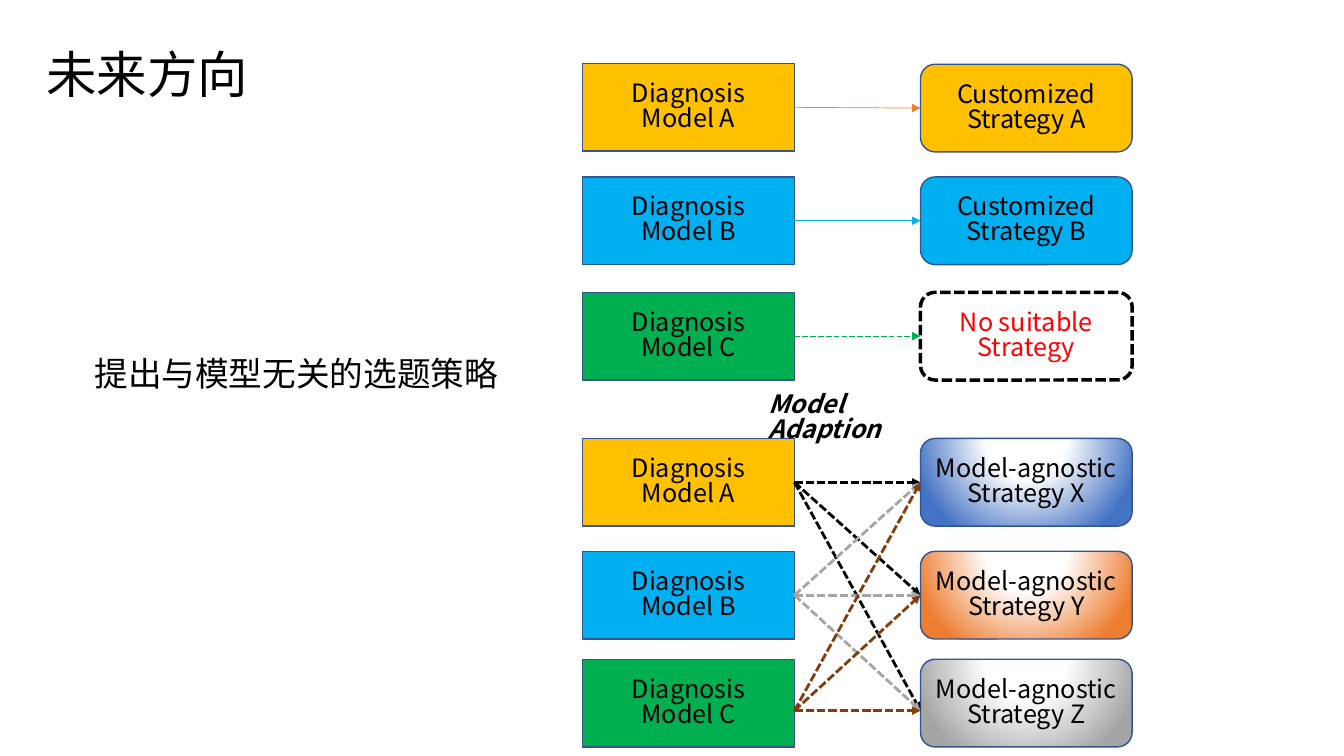
from dataclasses import dataclass

from lxml import etree
from pptx import Presentation
from pptx.dml.color import RGBColor
from pptx.enum.dml import MSO_LINE
from pptx.enum.shapes import MSO_CONNECTOR, MSO_SHAPE
from pptx.enum.text import MSO_ANCHOR, PP_ALIGN
from pptx.oxml import parse_xml
from pptx.oxml.ns import qn
from pptx.util import Inches, Pt

RECTANGLE = MSO_SHAPE.RECTANGLE
ROUNDED = MSO_SHAPE.ROUNDED_RECTANGLE
STRAIGHT = MSO_CONNECTOR.STRAIGHT
SHORT_DASH = MSO_LINE.SQUARE_DOT
LONG_DASH = MSO_LINE.LONG_DASH
LEFT, CENTER = PP_ALIGN.LEFT, PP_ALIGN.CENTER
TOP, MIDDLE = MSO_ANCHOR.TOP, MSO_ANCHOR.MIDDLE
LEFT_SIDE, RIGHT_SIDE = 1, 3

FONT = "Noto Sans CJK SC"
BLACK, RED, OUTLINE = "000000", "FF0000", "325491"
AMBER, SKY, GREEN = "FFC000", "00B0F0", "00B050"
BLUE, ORANGE, GRAY, BROWN = "4472C4", "ED7D31", "A5A5A5", "843C0B"
WIDTH, HEIGHT = Inches(13.33), Inches(7.5)
MODEL_LEFT, STRATEGY_LEFT = 43.36, 68.49
BOX_WIDTH, BOX_HEIGHT = 15.75, 11.6
LINE_SPACING = 0.83
DRAWING = "http://schemas.openxmlformats.org/drawingml/2006/main"


@dataclass(frozen=True)
class Box:
    text: str
    left: float
    top: float
    fill: str = ""
    glow: str = ""
    color: str = BLACK
    dashed: bool = False


@dataclass(frozen=True)
class Arrow:
    color: str
    weight: float
    dash: int | None = None


@dataclass(frozen=True)
class Label:
    text: str
    left: float
    top: float
    width: float
    height: float
    size: int
    emphasis: bool = False


@dataclass(frozen=True)
class Row:
    letter: str
    fill: str
    top: float
    strategy: Box
    arrow: Arrow
    drop: float = 0


def customized(letter, top, fill):
    return Box(f"Customized\nStrategy {letter}", STRATEGY_LEFT, top, fill)


def agnostic(letter, top, glow):
    return Box(f"Model-agnostic\nStrategy {letter}", STRATEGY_LEFT, top, glow=glow)


UPPER_ROWS = [
    Row("A", AMBER, 8.4, customized("A", 8.5, AMBER), Arrow(ORANGE, 0.5)),
    Row("B", SKY, 23.4, customized("B", 23.4, SKY), Arrow(SKY, 0.5)),
    Row("C", GREEN, 38.67,
        Box("No suitable Strategy", STRATEGY_LEFT, 38.67, color=RED, dashed=True),
        Arrow(GREEN, 0.5, LONG_DASH)),
]
LOWER_ROWS = [
    Row("A", AMBER, 58, agnostic("X", 58, BLUE), Arrow(BLACK, 2, SHORT_DASH)),
    Row("B", SKY, 72.93, agnostic("Y", 72.93, ORANGE), Arrow(GRAY, 2, SHORT_DASH)),
    Row("C", GREEN, 87.2, agnostic("Z", 87.2, GRAY),
        Arrow(BROWN, 2, SHORT_DASH), drop=1),
]
TITLE = Label("未来方向", 2.7, 4.93, 79.9, 9.47, 36)
LABELS = [
    Label("Model Adaption", 56.41, 51.33, 15.53, 5.33, 18, True),
    Label("提出与模型无关的选题策略", 6.3, 46.93, 32.33, 12.13, 24),
]


def across(percent: float) -> int:
    return round(WIDTH * percent / 100)


def down(percent: float) -> int:
    return round(HEIGHT * percent / 100)


def rgb(color: str) -> RGBColor:
    return RGBColor.from_string(color)


def write(shape, text, size, color=BLACK, align=LEFT, anchor=TOP,
          spacing=LINE_SPACING, emphasis=False) -> None:
    frame = shape.text_frame
    frame.text = text
    frame.word_wrap = True
    frame.vertical_anchor = anchor
    for paragraph in frame.paragraphs:
        paragraph.alignment = align
        paragraph.line_spacing = spacing
        font = paragraph.font
        font.name, font.size = FONT, Pt(size)
        font.bold = font.italic = emphasis
        font.color.rgb = rgb(color)
        properties = paragraph._p.find(".//" + qn("a:defRPr"))
        etree.SubElement(properties, qn("a:ea")).set("typeface", FONT)


def fill_glow(shape, color: str) -> None:
    stops = "".join(
        f'<a:gs pos="{position}"><a:srgbClr val="{shade}"/></a:gs>'
        for position, shade in ((0, "FFFFFF"), (35000, "FFFFFF"), (100000, color))
    )
    shape._element.spPr.append(parse_xml(
        f'<a:gradFill xmlns:a="{DRAWING}" rotWithShape="1"><a:gsLst>{stops}</a:gsLst>'
        '<a:path path="circle"><a:fillToRect l="50000" t="-80000" r="50000" b="180000"/>'
        '</a:path></a:gradFill>'
    ))


def draw_box(slide, box: Box, preset):
    shape = slide.shapes.add_shape(
        preset, across(box.left), down(box.top), across(BOX_WIDTH), down(BOX_HEIGHT))
    if box.glow:
        fill_glow(shape, box.glow)
    elif box.fill:
        shape.fill.solid()
        shape.fill.fore_color.rgb = rgb(box.fill)
    else:
        shape.fill.background()
    shape.line.color.rgb = rgb(BLACK if box.dashed else OUTLINE)
    shape.line.width = Pt(2.5 if box.dashed else 1)
    if box.dashed:
        shape.line.dash_style = SHORT_DASH
    shape.shadow.inherit = False
    write(shape, box.text, 18, box.color, CENTER, MIDDLE)
    shape.text_frame.margin_left = shape.text_frame.margin_right = Inches(0.05)
    return shape


def draw_arrow(slide, model, strategy, arrow: Arrow, start_drop=0, end_drop=0) -> None:
    connector = slide.shapes.add_connector(
        STRAIGHT, model.left + model.width,
        model.top + model.height // 2 + down(start_drop),
        strategy.left, strategy.top + strategy.height // 2 + down(end_drop))
    if not start_drop:
        connector.begin_connect(model, RIGHT_SIDE)
    if not end_drop:
        connector.end_connect(strategy, LEFT_SIDE)
    connector.line.color.rgb = rgb(arrow.color)
    connector.line.width = Pt(arrow.weight)
    if arrow.dash:
        connector.line.dash_style = arrow.dash
    properties = connector._element.spPr
    etree.SubElement(properties.find(qn("a:ln")), qn("a:tailEnd")).set("type", "triangle")
    etree.SubElement(properties, qn("a:effectLst"))


def draw_rows(slide, rows: list[Row]) -> list:
    return [
        (row,
         draw_box(slide, Box(f"Diagnosis\nModel {row.letter}", MODEL_LEFT, row.top, row.fill),
                  RECTANGLE),
         draw_box(slide, row.strategy, ROUNDED))
        for row in rows
    ]


def main() -> None:
    presentation = Presentation()
    presentation.slide_width, presentation.slide_height = WIDTH, HEIGHT
    slide = presentation.slides.add_slide(presentation.slide_layouts[5])
    title = slide.shapes.title
    title.left, title.top = across(TITLE.left), down(TITLE.top)
    title.width, title.height = across(TITLE.width), down(TITLE.height)
    write(title, TITLE.text, TITLE.size, anchor=MIDDLE, spacing=1.0)
    for row, model, strategy in draw_rows(slide, UPPER_ROWS):
        draw_arrow(slide, model, strategy, row.arrow)
    lower = draw_rows(slide, LOWER_ROWS)
    for source, model, _ in lower:
        for target, _, strategy in lower:
            draw_arrow(slide, model, strategy, source.arrow, source.drop, target.drop)
    for label in LABELS:
        box = slide.shapes.add_textbox(
            across(label.left), down(label.top), across(label.width), down(label.height))
        write(box, label.text, label.size, emphasis=label.emphasis)
    presentation.save("out.pptx")


if __name__ == "__main__":
    main()
